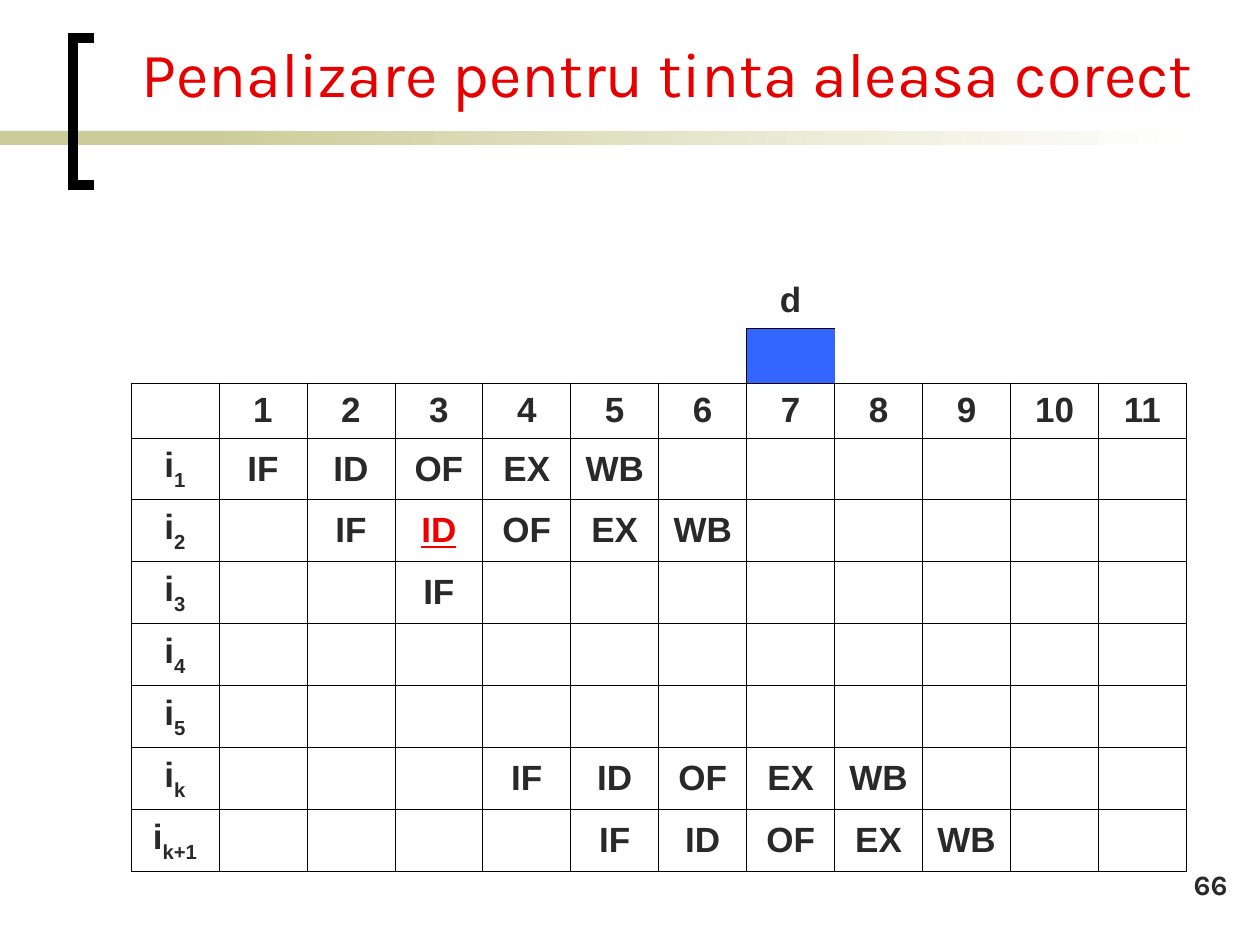
from lxml.etree import SubElement
from pptx import Presentation
from pptx.dml.color import RGBColor
from pptx.enum.shapes import MSO_SHAPE
from pptx.enum.text import MSO_ANCHOR, MSO_AUTO_SIZE, PP_ALIGN
from pptx.oxml.ns import qn
from pptx.util import Pt

COLORS = {
    "title": "E60000", "text": "292929", "hazard": "EE0000", "delay": "3366FF",
    "band": "CCCC99", "paper": "FFFFFF", "line": "000000",
}
STAGES = ["IF", "ID", "OF", "EX", "WB"]
INSTRUCTIONS = [("1", 1, 5), ("2", 2, 5), ("3", 3, 1), ("4", 4, 0),
                ("5", 5, 0), ("k", 4, 5), ("k+1", 5, 5)]
CYCLES = 11
DELAY_CYCLE = 7
HEADER_ROW = 2
HAZARD_CELL = (4, 3)


def px(value):
    """Turn pixels into EMU at 126 pixels to the inch."""
    return round(value * 914400 / 126)


def color(name):
    """Return a named colour."""
    return RGBColor.from_string(COLORS[name])


def add_run(paragraph, text, size, font_name, color_name, bold=False):
    """Append a formatted run and return it."""
    run = paragraph.add_run()
    run.text = text
    run.font.size = Pt(size)
    run.font.name = font_name
    run.font.bold = bold
    run.font.color.rgb = color(color_name)
    return run


def add_band(slide, left, top, width, height, solid_width):
    """Draw the title rule: a solid part, then a part that fades out."""
    parts = [(left, solid_width), (left + 199, width - 199)]
    for index, (part_left, part_width) in enumerate(parts):
        shape = slide.shapes.add_shape(
            MSO_SHAPE.RECTANGLE, px(part_left), px(top), px(part_width), px(height))
        shape.shadow.inherit = False
        shape.line.fill.background()
        if index == 0:
            shape.fill.solid()
            shape.fill.fore_color.rgb = color("band")
        else:
            shape.fill.gradient()
            shape.fill.gradient_angle = 0
            for stop, name in zip(shape.fill.gradient_stops, ("band", "paper")):
                stop.color.rgb = color(name)


def add_bracket(slide, left, top, width, height):
    """Draw the open bracket beside the title."""
    right, bottom = px(left + width), px(top + height)
    builder = slide.shapes.build_freeform(right, bottom)
    builder.add_line_segments(
        [(px(left), bottom), (px(left), px(top)), (right, px(top))], close=False)
    shape = builder.convert_to_shape()
    shape.shadow.inherit = False
    shape.fill.background()
    shape.line.color.rgb = color("line")
    shape.line.width = Pt(6)
    SubElement(shape.element.spPr.find(qn("a:ln")), qn("a:miter"), lim="800000")


def add_title(slide, left, top, width, height):
    """Place and fill the title placeholder."""
    title = slide.shapes.title
    title.left, title.top, title.width, title.height = map(px, (left, top, width, height))
    frame = title.text_frame
    frame.word_wrap = True
    frame.auto_size = MSO_AUTO_SIZE.NONE
    frame.vertical_anchor = MSO_ANCHOR.BOTTOM
    paragraph = frame.paragraphs[0]
    paragraph.alignment = PP_ALIGN.LEFT
    add_run(paragraph, "Penalizare pentru tinta aleasa corect", 36, "Karla", "title")


def cell_edges(row, column):
    """Name the sides of a cell that carry a line."""
    if row >= HEADER_ROW:
        return "LRTB"
    if column == DELAY_CYCLE:
        return "LTB" if row == 1 else "B"
    if row == 0:
        return ""
    return "RB" if column == DELAY_CYCLE - 1 else "B"


def set_borders(cell, edges):
    """Draw the given sides of a cell and clear the others."""
    properties = cell._tc.get_or_add_tcPr()
    for side in "LRTB":
        line = SubElement(properties, qn(f"a:ln{side}"), w=str(Pt(0.45)))
        if side in edges:
            fill = SubElement(line, qn("a:solidFill"))
            SubElement(fill, qn("a:srgbClr"), val=COLORS["line"])
        else:
            SubElement(line, qn("a:noFill"))


def pipeline_texts():
    """Map each filled cell to its text and subscript."""
    texts = {(0, DELAY_CYCLE): ("d", "")}
    for cycle in range(1, CYCLES + 1):
        texts[HEADER_ROW, cycle] = (str(cycle), "")
    for row, (name, start, count) in enumerate(INSTRUCTIONS, HEADER_ROW + 1):
        texts[row, 0] = ("i", name)
        for offset, stage in enumerate(STAGES[:count]):
            texts[row, start + offset] = (stage, "")
    return texts


def add_pipeline(slide, left, top, column_width, header_height, row_height):
    """Build the pipeline timing table."""
    heights = [header_height] * (HEADER_ROW + 1) + [row_height] * len(INSTRUCTIONS)
    columns = CYCLES + 1
    table = slide.shapes.add_table(
        len(heights), columns, px(left), px(top),
        px(columns * column_width), px(sum(heights))).table
    table.first_row = table.horz_banding = False
    for column in table.columns:
        column.width = px(column_width)
    texts = pipeline_texts()
    for row, height in enumerate(heights):
        table.rows[row].height = px(height)
        for column in range(columns):
            cell = table.cell(row, column)
            set_borders(cell, cell_edges(row, column))
            cell.fill.background()
            cell.vertical_anchor = MSO_ANCHOR.MIDDLE
            paragraph = cell.text_frame.paragraphs[0]
            paragraph.alignment = PP_ALIGN.CENTER
            if (row, column) not in texts:
                continue
            text, subscript = texts[row, column]
            hazard = (row, column) == HAZARD_CELL
            run = add_run(paragraph, text, 20, "Arial", "hazard" if hazard else "text", True)
            if hazard:
                run.font.underline = True
            if subscript:
                run = add_run(paragraph, subscript, 20, "Arial", "text", True)
                run._r.get_or_add_rPr().set("baseline", "-30000")
    delay_cell = table.cell(1, DELAY_CYCLE)
    delay_cell.fill.solid()
    delay_cell.fill.fore_color.rgb = color("delay")


def add_page_number(slide, left, top, width, height):
    """Write the page number at the lower right."""
    box = slide.shapes.add_textbox(px(left), px(top), px(width), px(height))
    box.text_frame.word_wrap = True
    paragraph = box.text_frame.paragraphs[0]
    paragraph.alignment = PP_ALIGN.RIGHT
    add_run(paragraph, "66", 16, "Karla", "text", True)


def main():
    """Build the slide and save it."""
    presentation = Presentation()
    presentation.slide_width, presentation.slide_height = px(1260), px(945)
    slide = presentation.slides.add_slide(presentation.slide_layouts[5])
    add_band(slide, 0, 131, 1197, 14, 294)
    add_bracket(slide, 73, 38, 21, 147)
    add_title(slide, 129, 14, 1106, 102)
    add_pipeline(slide, 131, 273, 88, 55, 62)
    add_page_number(slide, 978, 861, 262, 63)
    presentation.save("out.pptx")


if __name__ == "__main__":
    main()
